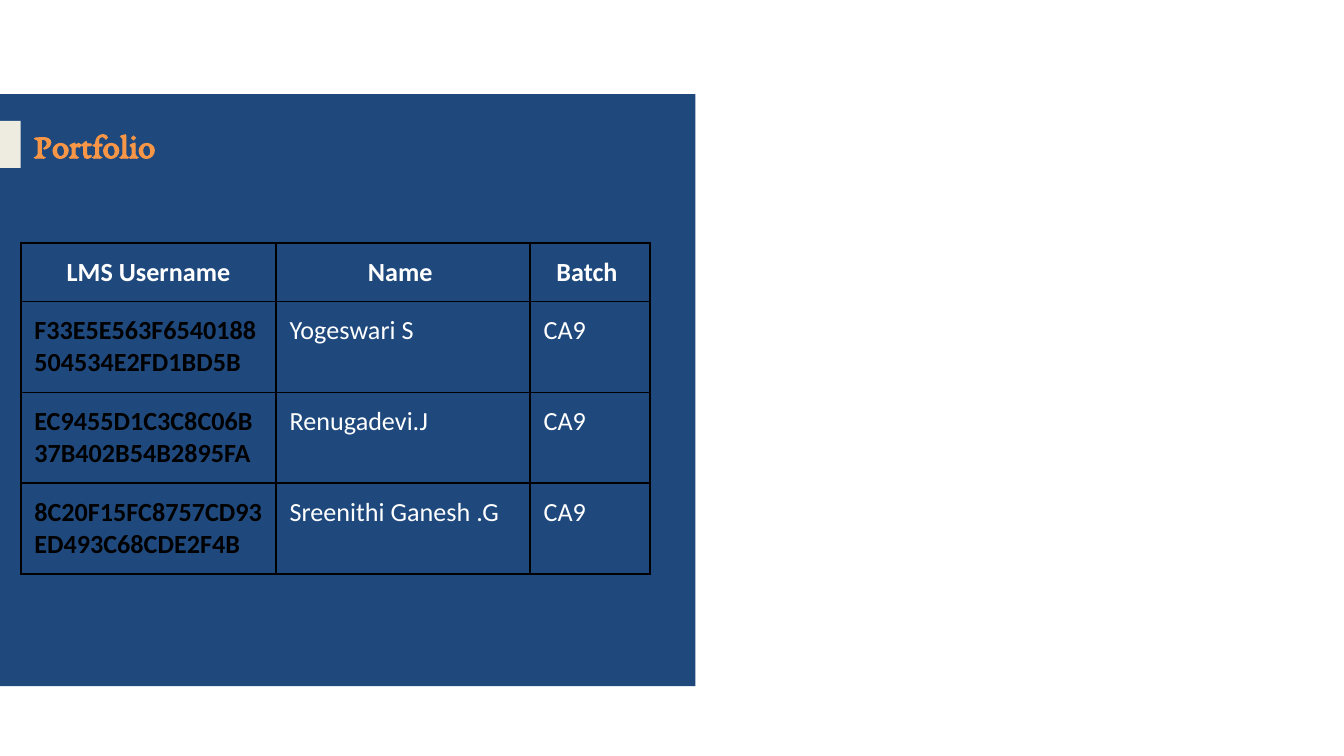
from lxml.etree import SubElement
from pptx import Presentation
from pptx.dml.color import RGBColor
from pptx.enum.shapes import MSO_SHAPE as SHAPE
from pptx.enum.text import MSO_ANCHOR as ANCHOR, PP_ALIGN as ALIGN
from pptx.oxml.ns import qn
from pptx.util import Pt

PX = 4572
NAVY = RGBColor(0x1F, 0x49, 0x7D)
CREAM = RGBColor(0xEE, 0xEC, 0xE1)
ORANGE = RGBColor(0xF7, 0x96, 0x46)
WHITE = RGBColor(0xFF, 0xFF, 0xFF)
BLACK = RGBColor(0, 0, 0)

MEMBERS = [
    ("LMS Username", "Name ", "Batch "),
    ("F33E5E563F6540188504534E2FD1BD5B", "Yogeswari S", "CA9"),
    ("EC9455D1C3C8C06B37B402B54B2895FA", "Renugadevi.J", "CA9"),
    ("8C20F15FC8757CD93ED493C68CDE2F4B", "Sreenithi Ganesh .G", "CA9"),
]


def px(*values):
    return [v * PX for v in values]


def style(p, font, size, color, bold):
    for r in p.runs:
        r.font.name = font
        r.font.size = Pt(size)
        r.font.color.rgb = color
        r.font.bold = bold


def add_rect(s, x, y, w, h, color):
    sp = s.shapes.add_shape(SHAPE.RECTANGLE, *px(x, y, w, h))
    sp.shadow.inherit = False
    sp.fill.solid()
    sp.fill.fore_color.rgb = color
    sp.line.fill.background()


def add_panel(s, x, y, w, h):
    add_rect(s, x, y, w, h, NAVY)
    add_rect(s, x, y + 40, 31, 70, CREAM)


def add_title(s, x, y, w, h, text):
    sp = s.shapes.add_textbox(*px(x, y, w, h))
    tf = sp.text_frame
    tf.word_wrap = True
    tf.vertical_anchor = ANCHOR.MIDDLE
    tf.text = text
    style(tf.paragraphs[0], "EB Garamond", 18.3, ORANGE, True)


def add_borders(cell):
    props = cell._tc.get_or_add_tcPr()
    for side in ("lnL", "lnR", "lnT", "lnB"):
        ln = SubElement(props, qn(f"a:{side}"), w=str(Pt(1)))
        fill = SubElement(ln, qn("a:solidFill"))
        SubElement(fill, qn("a:srgbClr"), val=str(BLACK))


def fill_cell(cell, text, is_header, is_key):
    cell.margin_left = cell.margin_right = 20 * PX
    cell.margin_top = cell.margin_bottom = 20 * PX
    add_borders(cell)
    cell.fill.background()
    cell.text = text
    p = cell.text_frame.paragraphs[0]
    p.alignment = ALIGN.CENTER if is_header else ALIGN.LEFT
    color = BLACK if is_key and not is_header else WHITE
    style(p, "Calibri", 14, color, is_header or is_key)


def add_members(s, x, y, col_widths, row_heights):
    size = sum(col_widths), sum(row_heights)
    frame = s.shapes.add_table(len(row_heights), len(col_widths), *px(x, y, *size))
    table = frame.table
    table.first_row = table.horz_banding = False
    for col, w in zip(table.columns, col_widths):
        col.width = w * PX
    for i, (row, h) in enumerate(zip(table.rows, row_heights)):
        row.height = h * PX
        for j, cell in enumerate(row.cells):
            fill_cell(cell, MEMBERS[i][j], i == 0, j == 0)


def main():
    prs = Presentation()
    prs.slide_width, prs.slide_height = px(2000, 1125)
    s = prs.slides.add_slide(prs.slide_layouts[6])
    add_panel(s, 0, 140, 1035, 881)
    add_title(s, 31, 177, 748, 76, "Portfolio")
    add_members(s, 31, 362, [380, 378, 178], [87, 135, 135, 135])
    prs.save("out.pptx")


if __name__ == "__main__":
    main()
